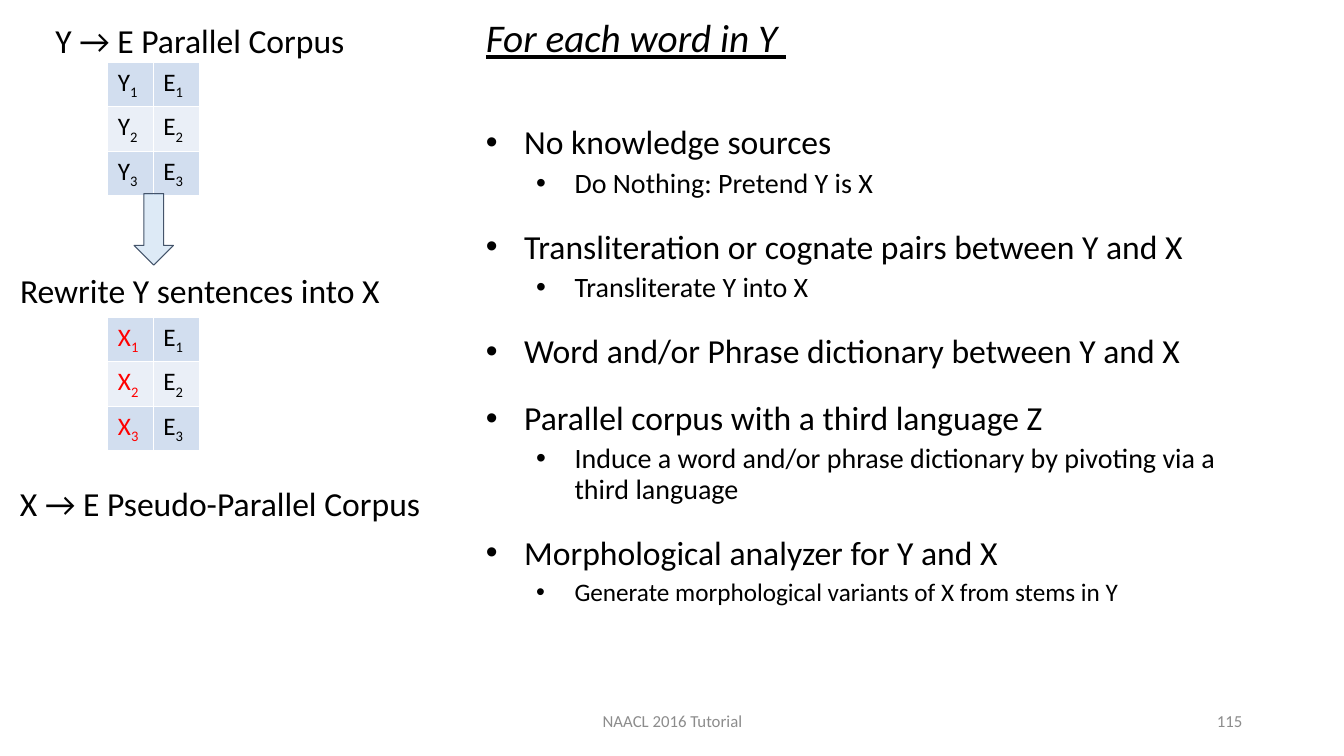
"""Builds a slide on rewriting a Y-E parallel corpus into an X-E pseudo-parallel corpus."""
from lxml import etree
from pptx import Presentation
from pptx.dml.color import RGBColor
from pptx.enum.shapes import MSO_SHAPE
from pptx.enum.text import MSO_ANCHOR, PP_ALIGN
from pptx.oxml import parse_xml
from pptx.oxml.ns import nsdecls, qn
from pptx.util import Inches, Pt

DOWN_ARROW = MSO_SHAPE.DOWN_ARROW
TOP, MIDDLE = MSO_ANCHOR.TOP, MSO_ANCHOR.MIDDLE
LEFT, CENTER, RIGHT = PP_ALIGN.LEFT, PP_ALIGN.CENTER, PP_ALIGN.RIGHT
BLACK, RED, GREY = "000000", "FF0000", "8C8C8C"
BANDS = ["D2DEEF", "EAEFF7"]


def paint(fill, color):
    fill.solid()
    fill.fore_color.rgb = RGBColor.from_string(color)


def add_run(p, text, size=24, color=BLACK, italic=False, underline=False, baseline=0):
    r = p.add_run()
    r.text = text
    r.font.name = "Calibri"
    r.font.size = Pt(size)
    r.font.italic = italic
    r.font.underline = underline
    paint(r.font.fill, color)
    if baseline:
        r._r.get_or_add_rPr().set("baseline", str(baseline * 1000))


prs = Presentation()
prs.slide_width, prs.slide_height = Inches(13.33), Inches(7.5)
s = prs.slides.add_slide(prs.slide_layouts[6])

for top, source, color in [(0.62, "Y", BLACK), (3.15, "X", RED)]:
    frame = s.shapes.add_table(3, 2, Inches(1.07), Inches(top), Inches(0.91), Inches(1.32))
    table = frame.table
    table.columns[0].width, table.columns[1].width = Inches(0.45), Inches(0.46)
    for i, row in enumerate(table.rows):
        row.height = Inches(0.44)
        for cell, letter, ink in zip(row.cells, [source, "E"], [color, BLACK]):
            p = cell.text_frame.paragraphs[0]
            add_run(p, letter, size=18, color=ink)
            add_run(p, str(i + 1), size=18, color=ink, baseline=-25)
            tcPr = cell._tc.get_or_add_tcPr()
            for side in ["lnL", "lnR", "lnT", "lnB"]:
                tcPr.append(parse_xml(
                    f'<a:{side} {nsdecls("a")} w="12700"><a:solidFill>'
                    f'<a:srgbClr val="FFFFFF"/></a:solidFill></a:{side}>'))
            paint(cell.fill, BANDS[i % 2])

arrow = s.shapes.add_shape(DOWN_ARROW, Inches(1.33), Inches(1.92), Inches(0.39), Inches(0.71))
arrow.shadow.inherit = False
paint(arrow.fill, "BDD7EE")
fill_color = arrow._element.spPr.find(qn("a:solidFill"))[0]
etree.SubElement(fill_color, qn("a:alpha")).set("val", "50000")
paint(arrow.line.fill, "44546A")
arrow.line.width = Pt(0.75)

labels = [
    ("Y → E Parallel Corpus", 0.45, 0.15, 3.35, 0.5, 24, BLACK, LEFT, TOP),
    ("Rewrite Y sentences into X", 0.1, 2.63, 4.02, 0.5, 24, BLACK, LEFT, TOP),
    ("X → E Pseudo-Parallel Corpus", 0.1, 4.74, 4.24, 0.5, 24, BLACK, LEFT, TOP),
    ("NAACL 2016 Tutorial", 4.42, 6.95, 4.5, 0.4, 12, GREY, CENTER, MIDDLE),
    ("115", 9.42, 6.95, 3, 0.4, 12, GREY, RIGHT, MIDDLE),
]
for text, x, y, w, h, size, color, align, anchor in labels:
    tf = s.shapes.add_textbox(Inches(x), Inches(y), Inches(w), Inches(h)).text_frame
    tf.word_wrap = True
    tf.vertical_anchor = anchor
    p = tf.paragraphs[0]
    p.alignment = align
    add_run(p, text, size=size, color=color)

tf = s.shapes.add_textbox(Inches(4.72), Inches(0.14), Inches(7.79), Inches(5.99)).text_frame
tf.word_wrap = True
p = tf.paragraphs[0]
p.line_spacing = 0.9
add_run(p, "For each word in Y ", size=28, italic=True, underline=True)

bullets = [
    (0, "No knowledge sources", 24, 46, 0),
    (1, "Do Nothing: Pretend Y is X", 20, 5, 12),
    (0, "Transliteration or cognate pairs between Y and X", 24, 10, 0),
    (1, "Transliterate Y into X", 20, 5, 12),
    (0, "Word and/or Phrase dictionary between Y and X", 24, 10, 12),
    (0, "Parallel corpus with a third language Z", 24, 10, 0),
    (1, "Induce a word and/or phrase dictionary by pivoting via a third language", 20, 5, 12),
    (0, "Morphological analyzer for Y and X", 24, 10, 0),
    (1, "Generate morphological variants of X from stems in Y", 18, 5, 0),
]
for level, text, size, before, after in bullets:
    p = tf.add_paragraph()
    pPr = p._p.get_or_add_pPr()
    pPr.set("marL", str(Inches(0.38 + 0.5 * level)))
    pPr.set("indent", str(Inches(-0.38)))
    etree.SubElement(pPr, qn("a:buFont")).set("typeface", "Arial")
    etree.SubElement(pPr, qn("a:buChar")).set("char", "•")
    p.level = level
    p.line_spacing = 0.9
    p.space_before, p.space_after = Pt(before), Pt(after)
    add_run(p, text, size=size)

prs.save("out.pptx")
